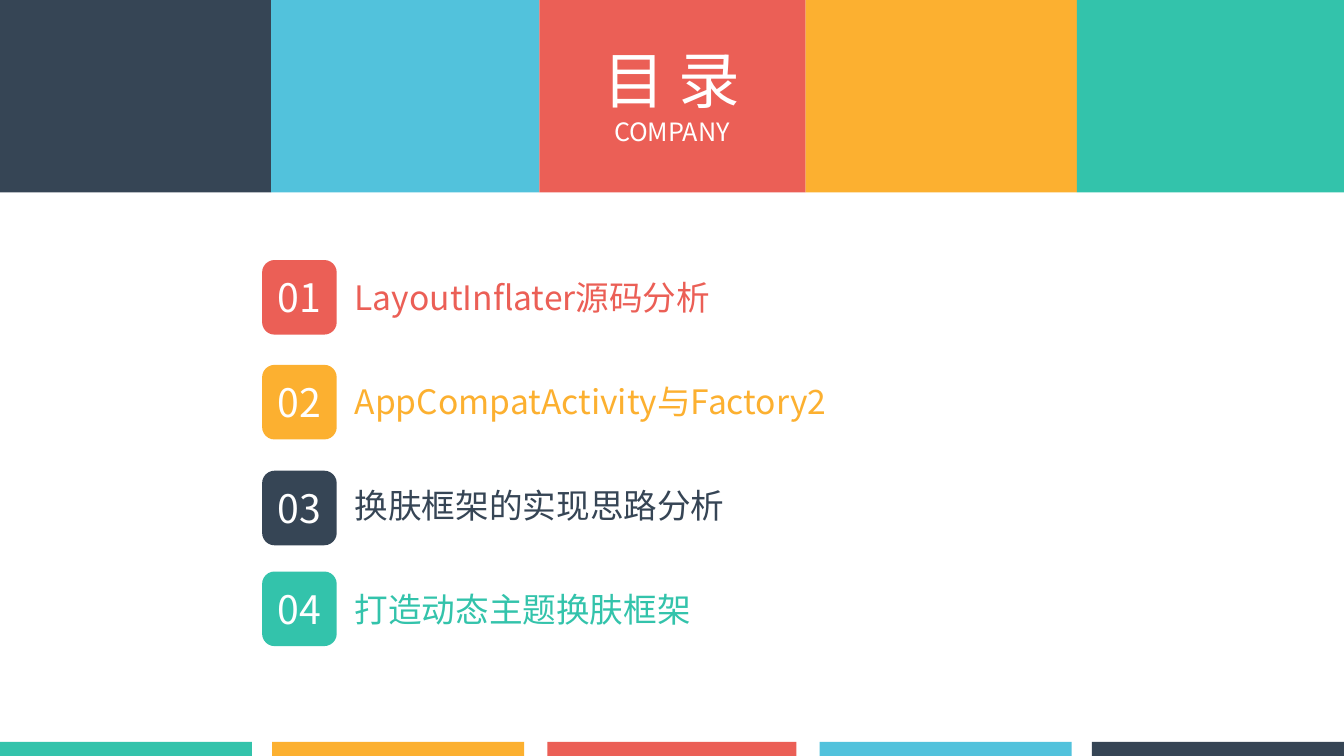
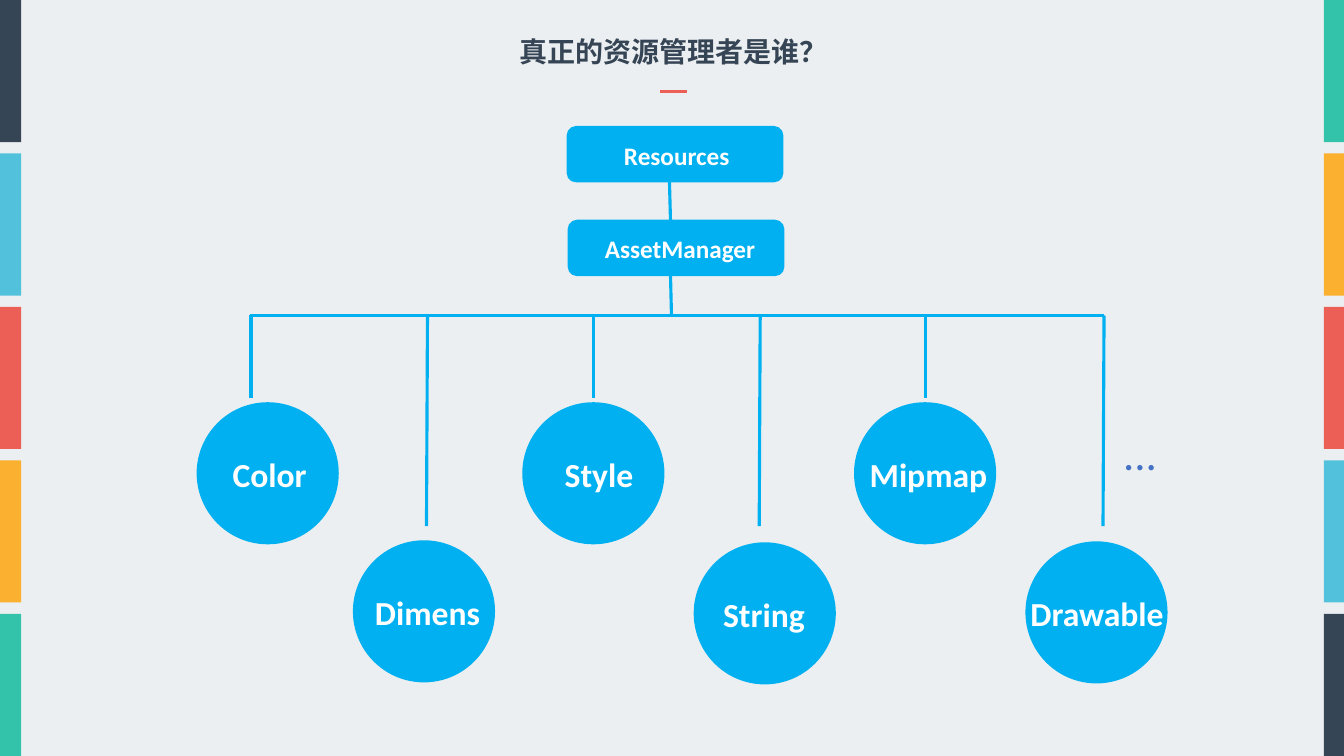
from lxml import etree
from pptx import Presentation
from pptx.dml.color import RGBColor
from pptx.enum.shapes import MSO_CONNECTOR, MSO_SHAPE
from pptx.enum.text import MSO_ANCHOR, MSO_AUTO_SIZE, PP_ALIGN
from pptx.oxml.ns import qn
from pptx.util import Inches, Pt

COLORS = {
    "navy": "364555", "sky": "52C2DC", "red": "EB5F56", "amber": "FCB030",
    "green": "33C3AB", "node": "00B0F0", "dots": "4472C4",
    "white": "FFFFFF", "pale": "ECEFF1",
}
BAND = ["navy", "sky", "red", "amber", "green"]
CJK, LATIN = "Noto Sans CJK SC", "Calibri"
LEFT, CENTER, RIGHT = PP_ALIGN.LEFT, PP_ALIGN.CENTER, PP_ALIGN.RIGHT


def add_block(s, kind, left, top, width, height, color):
    """Add a filled preset shape without outline or shadow."""
    sp = s.shapes.add_shape(kind, Inches(left), Inches(top), Inches(width), Inches(height))
    sp.shadow.inherit = False
    sp.fill.solid()
    sp.fill.fore_color.rgb = RGBColor.from_string(COLORS[color])
    sp.line.fill.background()
    return sp


def add_text(s, box, text, sizes, color, font=CJK, bold=False, align=LEFT, wrap=True):
    """Add a text box at (left, top, width, height), one size per paragraph."""
    tf = s.shapes.add_textbox(*[Inches(v) for v in box]).text_frame
    tf.text = text
    tf.word_wrap = wrap
    tf.auto_size = MSO_AUTO_SIZE.SHAPE_TO_FIT_TEXT
    for p, size in zip(tf.paragraphs, sizes):
        p.alignment = align
        r = p.runs[0]
        r.font.size, r.font.bold, r.font.name = Pt(size), bold, font
        r.font.color.rgb = RGBColor.from_string(COLORS[color])
        etree.SubElement(r.font._element, qn("a:ea")).set("typeface", font)
    return tf


prs = Presentation()
prs.slide_width, prs.slide_height = Inches(13.33), Inches(7.5)
slides = []
for background in ("white", "pale"):
    s = prs.slides.add_slide(prs.slide_layouts[6])
    s.background.fill.solid()
    s.background.fill.fore_color.rgb = RGBColor.from_string(COLORS[background])
    slides.append(s)
contents, diagram = slides

# Contents: header band, footer band and numbered entries
header = [(0, 2.69), (2.69, 2.66), (5.35, 2.64), (7.99, 2.69), (10.68, 2.65)]
footer = [(0, 2.5), (2.7, 2.5), (5.43, 2.47), (8.13, 2.5), (10.83, 2.5)]
for color, (left, width) in zip(BAND, header):
    add_block(contents, MSO_SHAPE.RECTANGLE, left, 0, width, 1.91, color)
for color, (left, width) in zip(reversed(BAND), footer):
    add_block(contents, MSO_SHAPE.RECTANGLE, left, 7.36, width, 0.14, color)
add_text(contents, (5.85, 0.37, 1.63, 1.18), "目 录\nCOMPANY", (44, 18), "white",
         align=CENTER, wrap=False)

entries = [
    ("LayoutInflater源码分析", "red", 2.58, 2.7, 4.36),
    ("AppCompatActivity与Factory2", "amber", 3.62, 3.73, 8.7),
    ("换肤框架的实现思路分析", "navy", 4.67, 4.76, 6.88),
    ("打造动态主题换肤框架", "green", 5.67, 5.79, 6.4),
]
for number, (entry, color, badge_top, text_top, width) in enumerate(entries, 1):
    badge = add_block(contents, MSO_SHAPE.ROUNDED_RECTANGLE, 2.6, badge_top, 0.74, 0.74, color)
    tf = badge.text_frame
    tf.text = f"{number:02d}"
    tf.vertical_anchor = MSO_ANCHOR.MIDDLE
    p = tf.paragraphs[0]
    p.alignment = CENTER
    p.font.size, p.font.name = Pt(28), CJK
    p.font.color.rgb = RGBColor.from_string(COLORS["white"])
    add_text(contents, (3.42, text_top, width, 0.5), entry, (24,), color)

# Diagram: title, side bands, connecting lines, nodes
add_text(diagram, (5.05, 0.29, 3.26, 0.44), "真正的资源管理者是谁？", (20,), "navy",
         bold=True, align=CENTER, wrap=False)
for left, colors in ((0, BAND), (13.13, BAND[::-1])):
    for i, color in enumerate(colors):
        add_block(diagram, MSO_SHAPE.RECTANGLE, left, i * 1.5225, 0.21, 1.41, color)

BUS = 3.13
lines = [
    (6.55, 0.91, 6.81, 0.91, "red"),
    (2.48, BUS, 10.95, BUS, "node"),
    (6.66, BUS, 6.65, 2.73, "node"),
    (6.65, 2.19, 6.64, 1.8, "node"),
]
lines += [(x, BUS, x, 3.95, "node") for x in (2.49, 5.89, 9.18)]
lines += [(x, BUS, x - 0.01, 5.22, "node") for x in (4.24, 7.54, 10.95)]
for x1, y1, x2, y2, color in lines:
    line = diagram.shapes.add_connector(
        MSO_CONNECTOR.STRAIGHT, Inches(x1), Inches(y1), Inches(x2), Inches(y2))
    line.line.width = Pt(2.25)
    line.line.color.rgb = RGBColor.from_string(COLORS[color])
    etree.SubElement(line._element.spPr, qn("a:effectLst"))

managers = [
    ("Resources", 5.62, 1.25, 6.09, 1.25),
    ("AssetManager", 5.63, 2.18, 5.9, 1.69),
]
for name, left, top, text_left, text_width in managers:
    add_block(diagram, MSO_SHAPE.ROUNDED_RECTANGLE, left, top, 2.15, 0.56, "node")
    add_text(diagram, (text_left, top + 0.09, text_width, 0.4), name, (18,), "white",
             LATIN, bold=True, wrap=False)

resources = [
    ("Color", 1.95, 3.99, 2.18, 0.96),
    ("Dimens", 3.5, 5.36, 3.49, 1.37),
    ("Style", 5.18, 3.99, 5.4, 0.98),
    ("String", 6.88, 5.38, 6.99, 1.09),
    ("Mipmap", 8.47, 3.99, 8.39, 1.5),
    ("Drawable", 10.17, 5.37, 10.11, 1.53),
]
for name, left, top, text_left, text_width in resources:
    add_block(diagram, MSO_SHAPE.OVAL, left, top, 1.41, 1.41, "node")
    add_text(diagram, (text_left, top + 0.46, text_width, 0.5), name, (24,), "white",
             LATIN, bold=True, align=RIGHT)
add_text(diagram, (11.04, 4.17, 0.54, 0.64), "...", (32,), "dots", LATIN, wrap=False)

prs.save("out.pptx")
